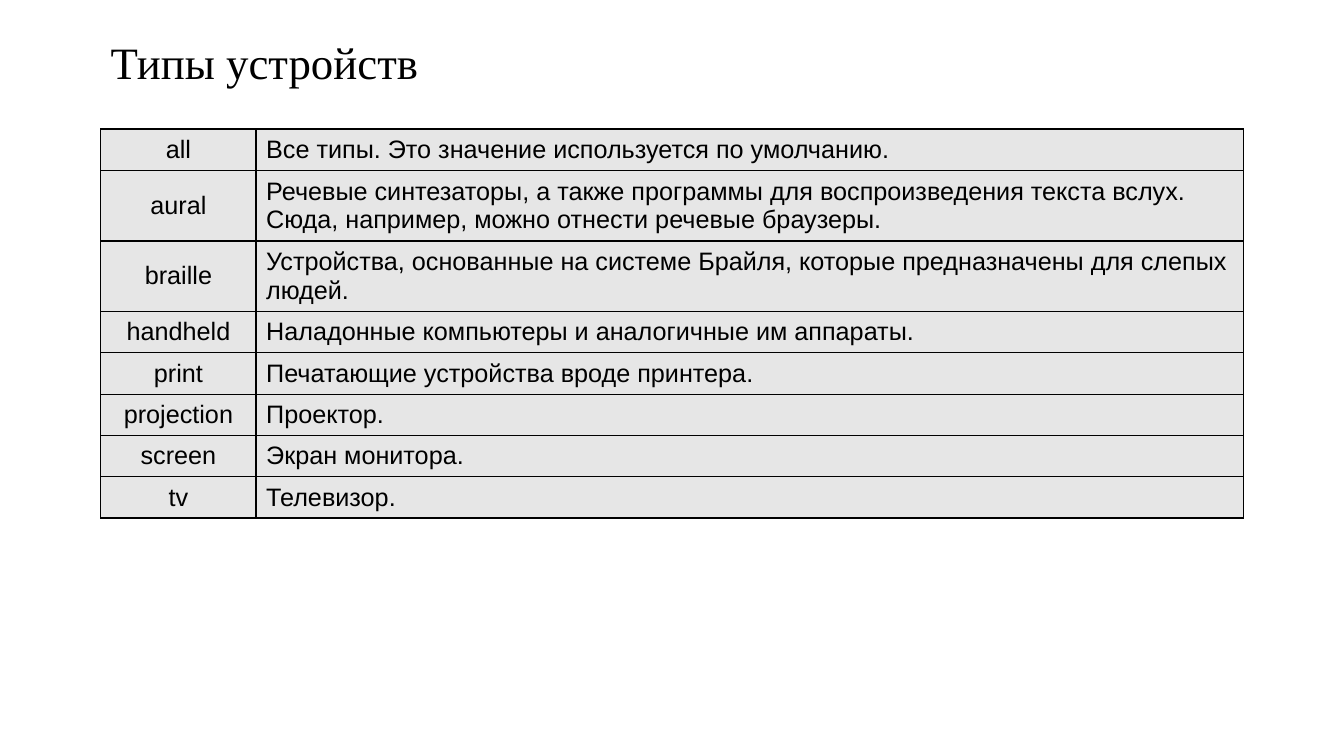
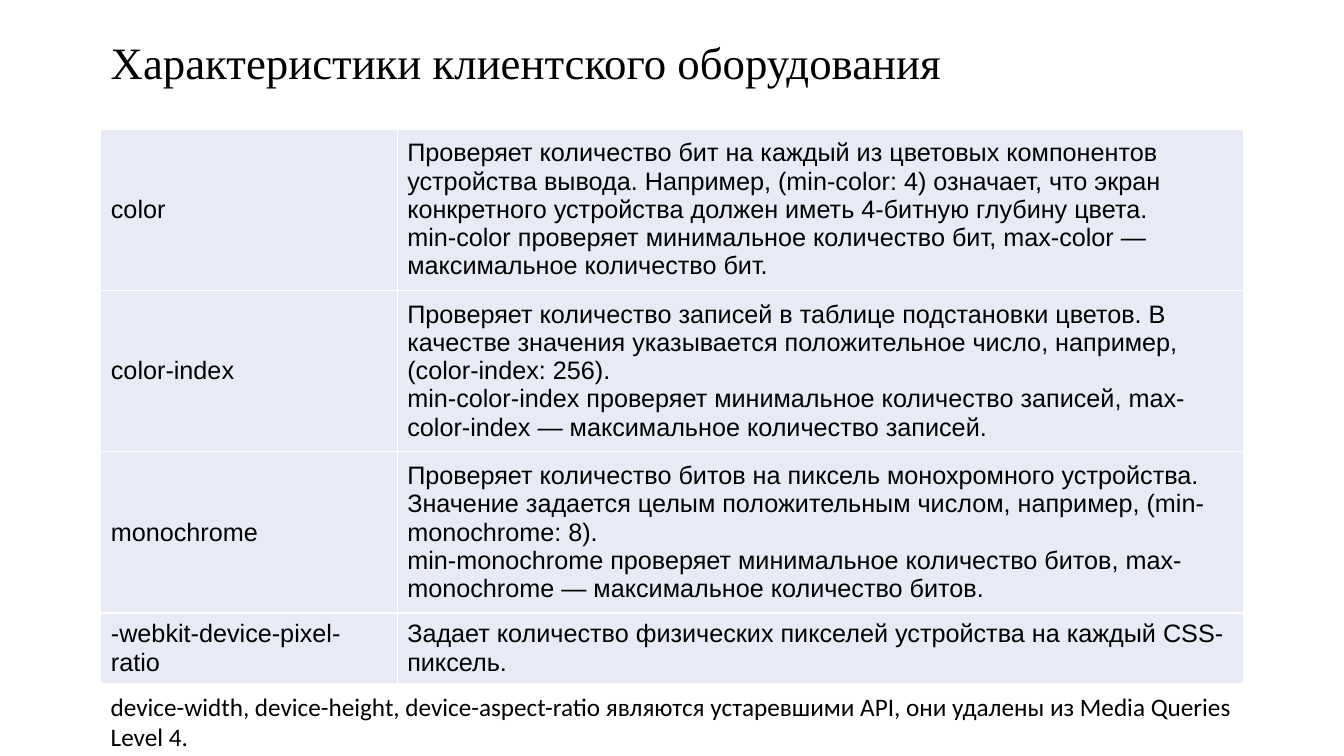
from dataclasses import dataclass
from lxml.etree import SubElement
from pptx import Presentation
from pptx.dml.color import RGBColor
from pptx.enum.text import MSO_ANCHOR, PP_ALIGN
from pptx.oxml.ns import qn
from pptx.util import Inches, Pt


@dataclass(frozen=True)
class Theme:
    ink: str = "000000"
    title: tuple = ("Times New Roman", 32)
    cell: tuple = ("Arial", 18)
    note: tuple = ("Calibri", 18)
    border: float = 1


THEME = Theme()
WIDE, HIGH = 13.33, 7.5
LEFT, TOP = 1, 1.28
SPAN = WIDE - 2 * LEFT
ROW = 0.41
NOTE_TOP = 6.81

SLIDES = [
    {
        "title": "Типы устройств",
        "first": 1.54, "fill": "E6E6E6", "line": "000000",
        "align": PP_ALIGN.CENTER,
        "rows": [
            ("all", "Все типы. Это значение используется по умолчанию."),
            ("aural", "Речевые синтезаторы, а также программы для воспроизведения "
             "текста вслух. Сюда, например, можно отнести речевые браузеры."),
            ("braille", "Устройства, основанные на системе Брайля, которые "
             "предназначены для слепых людей."),
            ("handheld", "Наладонные компьютеры и аналогичные им аппараты."),
            ("print", "Печатающие устройства вроде принтера."),
            ("projection", "Проектор."),
            ("screen", "Экран монитора."),
            ("tv", "Телевизор."),
        ],
    },
    {
        "title": "Характеристики клиентского оборудования",
        "first": 2.94, "fill": "E8EBF5", "line": "FFFFFF",
        "align": PP_ALIGN.LEFT,
        "rows": [
            ("color", "Проверяет количество бит на каждый из цветовых компонентов "
             "устройства вывода. Например, (min-color: 4) означает, что экран "
             "конкретного устройства должен иметь 4-битную глубину цвета.\n"
             "min-color проверяет минимальное количество бит, max-color — "
             "максимальное количество бит."),
            ("color-index", "Проверяет количество записей в таблице подстановки "
             "цветов. В качестве значения указывается положительное число, "
             "например, (color-index: 256).\n"
             "min-color-index проверяет минимальное количество записей, "
             "max-color-index — максимальное количество записей."),
            ("monochrome", "Проверяет количество битов на пиксель монохромного "
             "устройства. Значение задается целым положительным числом, "
             "например, (min-monochrome: 8).\n"
             "min-monochrome проверяет минимальное количество битов, "
             "max-monochrome — максимальное количество битов."),
            ("-webkit-device-pixel-ratio", "Задает количество физических пикселей "
             "устройства на каждый CSS-пиксель."),
        ],
        "note": "device-width, device-height, device-aspect-ratio являются "
                "устаревшими API, они удалены из Media Queries Level 4.",
    },
]


def write(frame, text, style, align=PP_ALIGN.LEFT):
    """Fill the first paragraph; a newline in the text is a line break."""
    para = frame.paragraphs[0]
    para.alignment = align
    for index, line in enumerate(text.split("\n")):
        if index:
            para.add_line_break()
        run = para.add_run()
        run.text = line
        run.font.name, size = style
        run.font.size = Pt(size)
        run.font.color.rgb = RGBColor.from_string(THEME.ink)
    return para


def add_text(slide, top, height, text, style, anchor=MSO_ANCHOR.TOP):
    box = slide.shapes.add_textbox(*map(Inches, (LEFT, top, SPAN, height)))
    frame = box.text_frame
    frame.word_wrap = True
    frame.vertical_anchor = anchor
    return write(frame, text, style)


def frame_cell(cell, color):
    """Draw all four borders; call before the fill, which must follow them."""
    props = cell._tc.get_or_add_tcPr()
    for side in ("a:lnL", "a:lnR", "a:lnT", "a:lnB"):
        line = SubElement(props, qn(side), w=str(Pt(THEME.border)))
        fill = SubElement(line, qn("a:solidFill"))
        SubElement(fill, qn("a:srgbClr"), val=color)


def add_grid(slide, data):
    rows = data["rows"]
    place = map(Inches, (LEFT, TOP, SPAN, ROW * len(rows)))
    table = slide.shapes.add_table(len(rows), 2, *place).table
    table.first_row = table.horz_banding = False
    for column, width in zip(table.columns, (data["first"], SPAN - data["first"])):
        column.width = Inches(width)
    for row, texts in zip(table.rows, rows):
        for cell, text, align in zip(row.cells, texts, (data["align"], PP_ALIGN.LEFT)):
            frame_cell(cell, data["line"])
            cell.fill.solid()
            cell.fill.fore_color.rgb = RGBColor.from_string(data["fill"])
            cell.vertical_anchor = MSO_ANCHOR.MIDDLE
            write(cell.text_frame, text, THEME.cell, align)


def main():
    deck = Presentation()
    deck.slide_width, deck.slide_height = Inches(WIDE), Inches(HIGH)
    for data in SLIDES:
        slide = deck.slides.add_slide(deck.slide_layouts[6])
        title = add_text(slide, 0, TOP, data["title"], THEME.title, MSO_ANCHOR.MIDDLE)
        title.line_spacing = 0.9
        add_grid(slide, data)
        if "note" in data:
            add_text(slide, NOTE_TOP, ROW, data["note"], THEME.note)
    deck.save("out.pptx")


if __name__ == "__main__":
    main()
